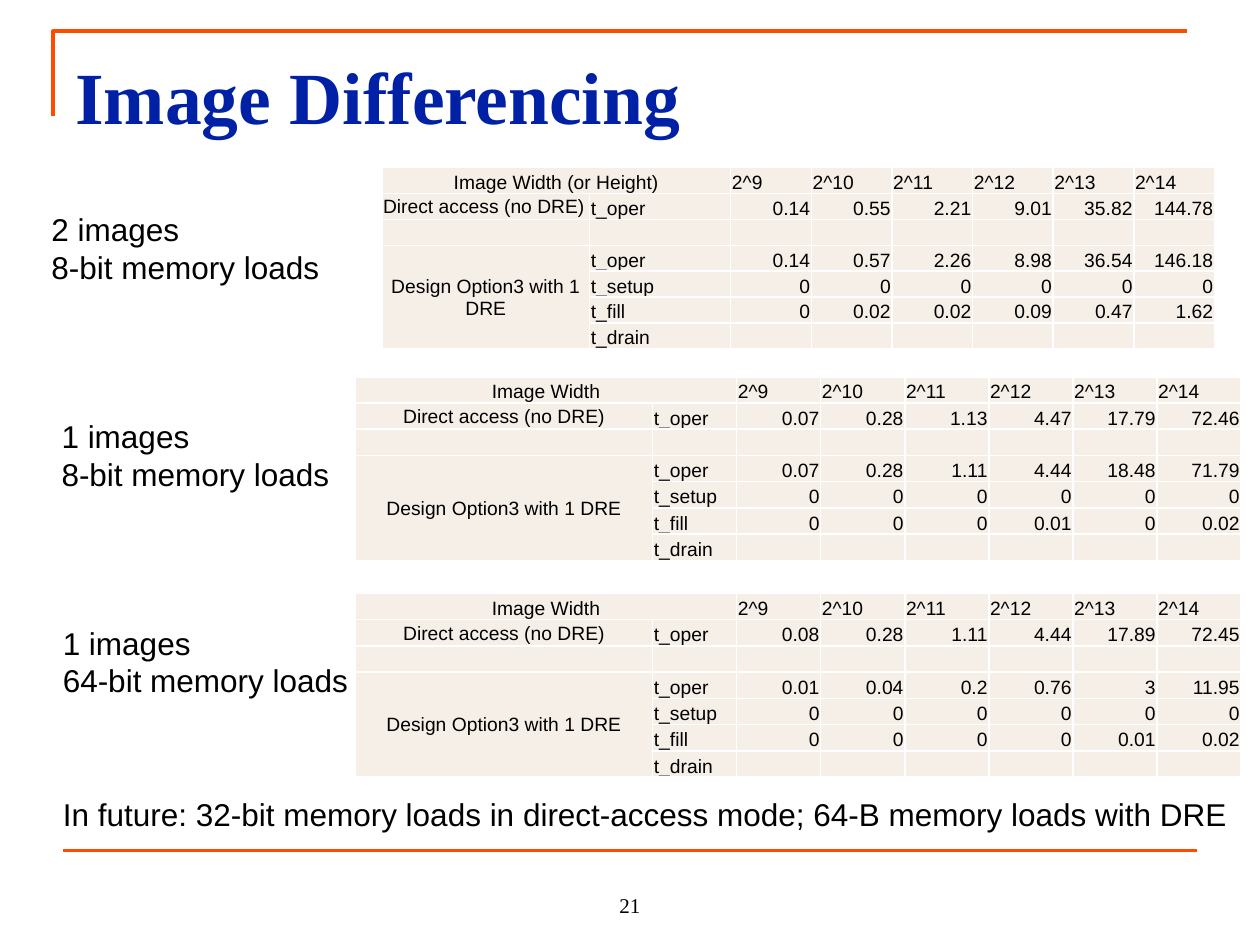
from lxml.etree import SubElement
from pptx import Presentation
from pptx.dml.color import RGBColor
from pptx.enum.shapes import MSO_CONNECTOR
from pptx.enum.text import MSO_ANCHOR, PP_ALIGN
from pptx.oxml.ns import qn
from pptx.util import Inches, Pt

COLORS = {"rule": "FF4A00", "title": "0021A5", "text": "000000",
          "cell": "F6EFE7", "border": "FFFFFF"}
SANS, SERIF = "Arial", "Times New Roman"
SLIDE_COLS, SLIDE_ROWS = 100, 75
SIZES = ["2^9", "2^10", "2^11", "2^12", "2^13", "2^14"]
ZEROS = ["0"] * len(SIZES)


def grid(n):
    """Length of n cells of the slide grid, 100 columns by 75 rows."""
    return int(n * Inches(0.1))


def color(name):
    return RGBColor.from_string(COLORS[name])


def add_run(p, text, size, font=SANS, fill="text", bold=False):
    r = p.add_run()
    r.text = text
    r.font.size, r.font.name, r.font.bold = Pt(size), font, bold
    r.font.color.rgb = color(fill)


def add_text(slide, box, lines, size, font=SANS, fill="text", bold=False,
             align=PP_ALIGN.LEFT, anchor=MSO_ANCHOR.TOP, bottom=0.5):
    tf = slide.shapes.add_textbox(*map(grid, box)).text_frame
    tf.word_wrap = True
    tf.vertical_anchor = anchor
    tf.margin_bottom = grid(bottom)
    for i, line in enumerate(lines):
        p = tf.add_paragraph() if i else tf.paragraphs[0]
        p.alignment = align
        add_run(p, line, size, font, fill, bold)


def style_line(sp):
    sp.line.color.rgb = color("rule")
    sp.line.width = Pt(2.25)


def add_corner(slide, left, top, right, bottom):
    """Open corner: up the left side, then along the top."""
    fb = slide.shapes.build_freeform(grid(left), grid(bottom))
    fb.add_line_segments([(grid(left), grid(top)), (grid(right), grid(top))],
                         close=False)
    sp = fb.convert_to_shape()
    sp.shadow.inherit = False
    sp.fill.background()
    style_line(sp)


def add_rule(slide, left, right, y):
    line = slide.shapes.add_connector(
        MSO_CONNECTOR.STRAIGHT, grid(left), grid(y), grid(right), grid(y))
    SubElement(line._element.spPr, qn("a:effectLst"))
    style_line(line)


def style_cell(cell):
    cell.margin_left = cell.margin_right = cell.margin_top = grid(0.1)
    cell.margin_bottom = 0
    tc_pr = cell._tc.get_or_add_tcPr()
    for side in ("lnL", "lnR", "lnT", "lnB"):
        ln = SubElement(tc_pr, qn(f"a:{side}"), w=str(Pt(1)))
        fill = SubElement(ln, qn("a:solidFill"))
        SubElement(fill, qn("a:srgbClr"), val=COLORS["border"])
    cell.fill.solid()
    cell.fill.fore_color.rgb = color("cell")


def write_cell(cell, text, align, anchor):
    cell.vertical_anchor = anchor
    p = cell.text_frame.paragraphs[0]
    p.alignment = align
    if text:
        add_run(p, text, 11)
    else:
        p._p.get_or_add_endParaRPr().set("sz", "1100")


def add_timings(slide, box, widths, heading, direct, oper, fill,
                direct_align=PP_ALIGN.CENTER):
    """Table of times: direct access above, the DRE design below."""
    blank = [""] * len(SIZES)
    rows = [[heading, ""] + SIZES,
            ["Direct access (no DRE)", "t_oper"] + direct,
            ["", ""] + blank,
            ["Design Option3 with 1 DRE", "t_oper"] + oper,
            ["", "t_setup"] + ZEROS,
            ["", "t_fill"] + fill,
            ["", "t_drain"] + blank]
    frame = slide.shapes.add_table(len(rows), len(rows[0]), *map(grid, box))
    table = frame.table
    table.first_row = table.horz_banding = False
    name_w, step_w, value_w = widths
    for column, width in zip(table.columns,
                             [name_w, step_w] + [value_w] * len(SIZES)):
        column.width = grid(width)
    for i, row in enumerate(rows):
        for j, text in enumerate(row):
            cell = table.cell(i, j)
            style_cell(cell)
            align, anchor = PP_ALIGN.LEFT, MSO_ANCHOR.BOTTOM
            if j == 0:
                align = direct_align if i == 1 else PP_ALIGN.CENTER
                anchor = MSO_ANCHOR.MIDDLE if i else MSO_ANCHOR.BOTTOM
            elif i and j > 1:
                align = PP_ALIGN.RIGHT
            write_cell(cell, text, align, anchor)
    table.cell(0, 0).merge(table.cell(0, 1))
    table.cell(3, 0).merge(table.cell(6, 0))


def main():
    prs = Presentation()
    prs.slide_width, prs.slide_height = grid(SLIDE_COLS), grid(SLIDE_ROWS)
    slide = prs.slides.add_slide(prs.slide_layouts[6])

    add_corner(slide, 4.2, 2.5, 94.2, 9.2)
    add_rule(slide, 5, 95, 67.5)
    add_text(slide, (5, 3, 90, 10.3), ["Image Differencing"], 42, SERIF,
             "title", bold=True, anchor=MSO_ANCHOR.MIDDLE, bottom=1.7)

    add_timings(slide, (30.3, 13.3, 66.1, 14.4), (16.5, 11.2, 6.4),
                "Image Width (or Height)",
                ["0.14", "0.55", "2.21", "9.01", "35.82", "144.78"],
                ["0.14", "0.57", "2.26", "8.98", "36.54", "146.18"],
                ["0", "0.02", "0.02", "0.09", "0.47", "1.62"],
                direct_align=PP_ALIGN.LEFT)
    narrow = (23.6, 6.67, 6.67)
    add_timings(slide, (28.2, 29.9, 70.3, 14.6), narrow, "Image Width",
                ["0.07", "0.28", "1.13", "4.47", "17.79", "72.46"],
                ["0.07", "0.28", "1.11", "4.44", "18.48", "71.79"],
                ["0", "0", "0", "0.01", "0", "0.02"])
    add_timings(slide, (28.2, 47.1, 70.3, 14.6), narrow, "Image Width",
                ["0.08", "0.28", "1.11", "4.44", "17.89", "72.45"],
                ["0.01", "0.04", "0.2", "0.76", "3", "11.95"],
                ["0", "0", "0", "0", "0.01", "0.02"])

    for left, top, images, bits in [(3.1, 16.2, 2, 8), (3.9, 32.6, 1, 8),
                                    (4, 49, 1, 64)]:
        add_text(slide, (left, top, 28.7, 7.1),
                 [f"{images} images", f"{bits}-bit memory loads"], 18)
    add_text(slide, (4, 62.6, 94.5, 4),
             ["In future: 32-bit memory loads in direct-access mode; "
              "64-B memory loads with DRE"], 18)
    add_text(slide, (40, 68.3, 20, 5), ["21"], 12, SERIF,
             align=PP_ALIGN.CENTER, anchor=MSO_ANCHOR.BOTTOM)

    prs.save("out.pptx")


if __name__ == "__main__":
    main()
